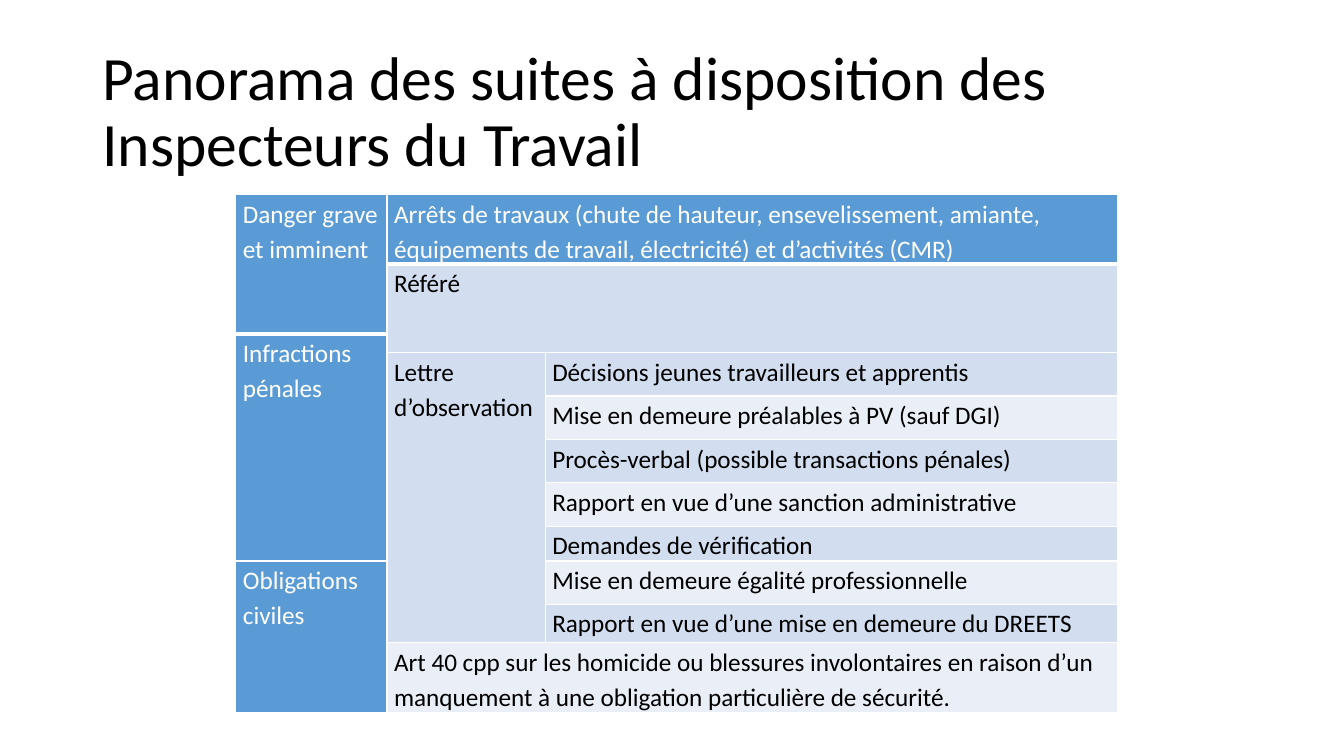
from pptx import Presentation
from pptx.dml.color import RGBColor
from pptx.enum.text import MSO_ANCHOR
from pptx.oxml import parse_xml
from pptx.oxml.ns import nsdecls
from pptx.util import Pt

MIDDLE = MSO_ANCHOR.MIDDLE
FONT = "Calibri"
COLORS = {"black": "000000", "white": "FFFFFF", "blue": "5B9BD5",
          "band": "D2DEEF", "pale": "EAEFF7"}
COLUMN_WIDTHS = [108, 113, 408.5]
ROW_HEIGHTS = [46, 9.5, 13.5, 31, 31, 31, 31, 16, 31, 27.5, 46]

# (row, column, row span, column span, fill, text)
ENTRIES = [
    (0, 0, 2, 1, "blue", "Danger grave et imminent"),
    (2, 0, 6, 1, "blue", "Infractions pénales"),
    (8, 0, 3, 1, "blue", "Obligations civiles"),
    (0, 1, 1, 2, "blue", "Arrêts de travaux (chute de hauteur, ensevelissement, amiante, "
                         "équipements de travail, électricité) et d’activités (CMR)"),
    (1, 1, 2, 2, "band", "Référé"),
    (3, 1, 7, 1, "band", "Lettre d’observation"),
    (10, 1, 1, 2, "pale", "Art 40 cpp sur les homicide ou blessures involontaires en raison "
                          "d’un manquement à une obligation particulière de sécurité."),
]
ACTIONS = [
    "Décisions jeunes travailleurs et apprentis",
    "Mise en demeure préalables à PV (sauf DGI)",
    "Procès-verbal (possible transactions pénales)",
    "Rapport en vue d’une sanction administrative",
    "Demandes de vérification",
    "Mise en demeure égalité professionnelle",
    "Rapport en vue d’une mise en demeure du DREETS",
]
ENTRIES += [(3 + index, 2, 1, 1, ("band", "pale")[index % 2], action)
            for index, action in enumerate(ACTIONS)]


def color(name):
    """Return the named colour."""
    return RGBColor.from_string(COLORS[name])


def write(text_frame, text, size, color_name, line_spacing):
    """Fill a text frame with one styled paragraph."""
    paragraph = text_frame.paragraphs[0]
    paragraph.text = text
    paragraph.line_spacing = line_spacing
    paragraph.font.name = FONT
    paragraph.font.size = Pt(size)
    paragraph.font.bold = False
    paragraph.font.color.rgb = color(color_name)


def set_borders(cell, bottom_width):
    """Draw white borders around a cell."""
    properties = cell._tc.get_or_add_tcPr()
    widths = {"lnL": 1, "lnR": 1, "lnT": 1, "lnB": bottom_width}
    for position, (tag, width) in enumerate(widths.items()):
        properties.insert(position, parse_xml(
            f'<a:{tag} {nsdecls("a")} w="{Pt(width)}"><a:solidFill>'
            f'<a:srgbClr val="{COLORS["white"]}"/></a:solidFill></a:{tag}>'))


def add_title(slide, left, top, width, height):
    """Place the slide title in the given box."""
    shape = slide.shapes.add_textbox(Pt(left), Pt(top), Pt(width), Pt(height))
    shape.text_frame.word_wrap = True
    shape.text_frame.vertical_anchor = MIDDLE
    write(shape.text_frame, "Panorama des suites à disposition des Inspecteurs du Travail",
          44, "black", 0.9)


def add_actions_table(slide, left, top, width, height):
    """Place the table of follow-up actions in the given box."""
    shape = slide.shapes.add_table(len(ROW_HEIGHTS), len(COLUMN_WIDTHS),
                                   Pt(left), Pt(top), Pt(width), Pt(height))
    table = shape.table
    for column, column_width in zip(table.columns, COLUMN_WIDTHS):
        column.width = Pt(column_width)
    for index, row_height in enumerate(ROW_HEIGHTS):
        table.rows[index].height = Pt(row_height)
        for cell in table.rows[index].cells:
            cell.margin_left = cell.margin_right = Pt(5)
            cell.margin_top = cell.margin_bottom = 0
            set_borders(cell, 1 if index else 3)
    for row, column, row_span, column_span, fill, text in ENTRIES:
        cell = table.cell(row, column)
        if row_span * column_span > 1:
            cell.merge(table.cell(row + row_span - 1, column + column_span - 1))
        cell.fill.solid()
        cell.fill.fore_color.rgb = color(fill)
        write(cell.text_frame, text, 18, "white" if fill == "blue" else "black", 1.15)
    shape.height = Pt(height)


def main():
    """Build and save the presentation."""
    presentation = Presentation()
    presentation.slide_width = Pt(960)
    presentation.slide_height = Pt(540)
    slide = presentation.slides.add_slide(presentation.slide_layouts[6])
    add_title(slide, 66, 28.75, 828, 104.4)
    add_actions_table(slide, 168.5, 139, 629.5, 345.6)
    presentation.save("out.pptx")


if __name__ == "__main__":
    main()
